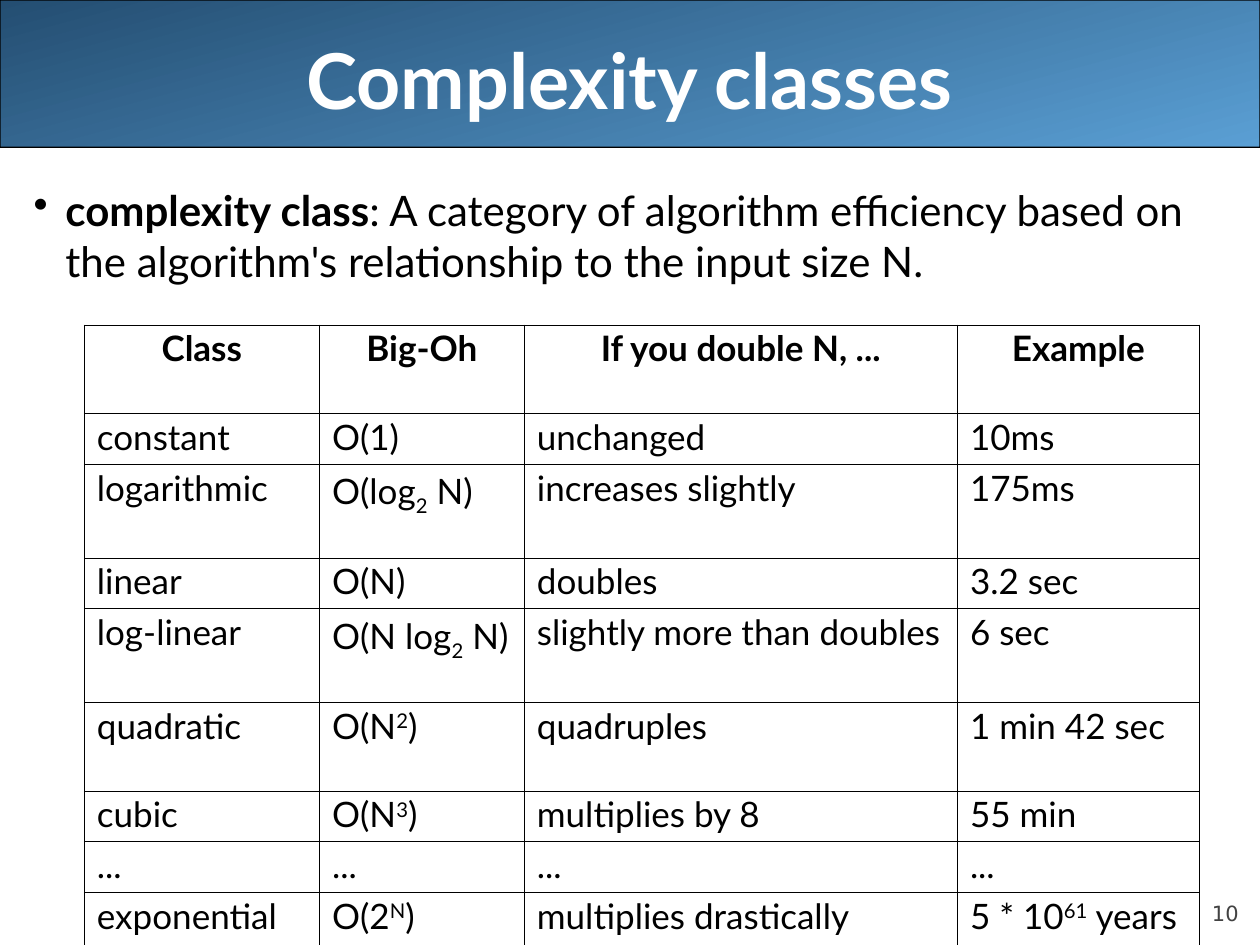
from lxml import etree
from pptx import Presentation
from pptx.dml.color import RGBColor
from pptx.enum.shapes import MSO_SHAPE
from pptx.enum.text import MSO_ANCHOR, PP_ALIGN
from pptx.oxml import parse_xml
from pptx.oxml.ns import nsdecls, qn
from pptx.util import Cm, Pt

ROUNDED = MSO_SHAPE.ROUNDED_RECTANGLE
TOP, MIDDLE, BOTTOM = MSO_ANCHOR.TOP, MSO_ANCHOR.MIDDLE, MSO_ANCHOR.BOTTOM
LEFT, CENTER, RIGHT = PP_ALIGN.LEFT, PP_ALIGN.CENTER, PP_ALIGN.RIGHT

BLACK = RGBColor(0x00, 0x00, 0x00)
WHITE = RGBColor(0xFF, 0xFF, 0xFF)
GREY = RGBColor(0x42, 0x42, 0x42)
LIGHT_BLUE = RGBColor(0x5A, 0x9F, 0xD4)
DARK_BLUE = RGBColor(0x24, 0x4E, 0x72)

TITLE_ONLY = 5
BASELINES = {"_": "-25000", "^": "30000"}  # markers for sub- and superscript

# Parts of a cell are split by "|"; a leading marker lowers or raises a part
HEADER = ("Class", "Big-Oh", "If you double N, ...", "Example")
CLASSES = [
    ("constant", "O(1)", "unchanged", "10ms"),
    ("logarithmic", "O(log|_2| N)", "increases slightly", "175ms"),
    ("linear", "O(N)", "doubles", "3.2 sec"),
    ("log-linear", "O(N log|_2| N)", "slightly more than doubles", "6 sec"),
    ("quadratic", "O(N|^2|)", "quadruples", "1 min 42 sec"),
    ("cubic", "O(N|^3|)", "multiplies by 8", "55 min"),
    ("...", "...", "...", "..."),
    ("exponential", "O(2|^N|)", "multiplies drastically", "5 * 10|^61| years"),
]
COLUMN_WIDTHS = (4.74, 4.13, 8.73, 4.88)
SHORT, TALL, TALLEST = 1.02, 1.79, 1.89
ROW_HEIGHTS = (TALL, SHORT, TALLEST, SHORT, TALLEST, TALL, SHORT, SHORT, TALL)


def apply(target, values):
    for name, value in values.items():
        setattr(target, name, value)


class SlideBuilder:
    font_name = "Lato"

    def __init__(self, presentation):
        layout = presentation.slide_layouts[TITLE_ONLY]
        self.slide = presentation.slides.add_slide(layout)

    def add_text(self, paragraph, text, size, color=BLACK, **extra):
        run = paragraph.add_run()
        run.text = text
        font = {"name": self.font_name, "size": Pt(size), "bold": False}
        apply(run.font, font | extra)
        run.font.color.rgb = color
        return run

    def place(self, shape, left, top, width, height):
        box = {"left": left, "top": top, "width": width, "height": height}
        apply(shape, {name: Cm(value) for name, value in box.items()})

    def band(self, left, top, width, height):
        shape = self.slide.shapes.add_shape(
            ROUNDED, Cm(left), Cm(top), Cm(width), Cm(height))
        shape.adjustments[0] = 0.001
        shape.shadow.inherit = False
        shape.fill.gradient()
        shape.fill.gradient_angle = 105
        for stop, color in zip(shape.fill.gradient_stops, (LIGHT_BLUE, DARK_BLUE)):
            stop.color.rgb = color
        shape.line.color.rgb = BLACK
        shape.line.width = Pt(0.75)
        # Send the band behind the title
        self.slide.shapes._spTree.insert(2, shape._element)

    def title(self, text, *box):
        shape = self.slide.shapes.title
        self.place(shape, *box)
        apply(shape.text_frame, {"vertical_anchor": MIDDLE, "word_wrap": True})
        paragraph = shape.text_frame.paragraphs[0]
        paragraph.alignment = CENTER
        self.add_text(paragraph, text, 44, WHITE, bold=True)

    def text_box(self, left, top, width, height, **frame_format):
        shape = self.slide.shapes.add_textbox(
            Cm(left), Cm(top), Cm(width), Cm(height))
        apply(shape.text_frame, {"word_wrap": True} | frame_format)
        return shape.text_frame.paragraphs[0]

    def definition(self, term, meaning, *box):
        paragraph = self.text_box(*box, vertical_anchor=TOP)
        properties = paragraph._p.get_or_add_pPr()
        properties.set("marL", str(Cm(0.64)))
        properties.set("indent", str(-Cm(0.64)))
        bullet = etree.SubElement(properties, qn("a:buChar"))
        bullet.set("char", "•")
        self.add_text(paragraph, term, 24, bold=True)
        self.add_text(paragraph, meaning, 24)

    def page_number(self, text, *box):
        margins = dict.fromkeys(
            ("margin_left", "margin_top", "margin_right", "margin_bottom"), 0)
        paragraph = self.text_box(*box, vertical_anchor=BOTTOM, **margins)
        paragraph.alignment = RIGHT
        self.add_text(paragraph, text, 12, GREY, name="DejaVu Sans")

    def cell(self, cell, text, is_header):
        properties = cell._tc.get_or_add_tcPr()
        for side in "LRTB":
            properties.append(parse_xml(
                f'<a:ln{side} {nsdecls("a")} w="{Pt(0.45)}"><a:solidFill>'
                f'<a:srgbClr val="{BLACK}"/></a:solidFill></a:ln{side}>'))
        cell.fill.background()
        paragraph = cell.text_frame.paragraphs[0]
        apply(paragraph, {"alignment": CENTER if is_header else LEFT,
                          "line_spacing": 0.9})
        for part in text.split("|"):
            baseline = BASELINES.get(part[0])
            run = self.add_text(paragraph, part[1:] if baseline else part, 20,
                                bold=is_header)
            if baseline:
                run._r.get_or_add_rPr().set("baseline", baseline)

    def table(self, rows, left, top):
        table = self.slide.shapes.add_table(
            len(rows), len(COLUMN_WIDTHS), Cm(left), Cm(top),
            Cm(sum(COLUMN_WIDTHS)), Cm(sum(ROW_HEIGHTS))).table
        apply(table, {"first_row": False, "horz_banding": False})
        for column, width in zip(table.columns, COLUMN_WIDTHS):
            column.width = Cm(width)
        for index, (row, height) in enumerate(zip(table.rows, ROW_HEIGHTS)):
            row.height = Cm(height)
            for cell, text in zip(row.cells, rows[index]):
                self.cell(cell, text, index == 0)


def main():
    presentation = Presentation()
    presentation.slide_width = Cm(25.4)
    presentation.slide_height = Cm(19.05)
    builder = SlideBuilder(presentation)

    # Title band
    builder.band(0, 0, 25.4, 2.97)
    builder.title("Complexity classes", 1.27, 0, 22.86, 3.18)

    # Definition
    builder.definition(
        "complexity class",
        ": A category of algorithm efficiency based on the algorithm's "
        "relationship to the input size N.",
        0.43, 3.6, 24.97, 2.6)

    # Table of classes
    builder.table([HEADER, *CLASSES], 1.7, 6.55)

    # Page number
    builder.page_number("10", 22.86, 17.65, 2.11, 1.02)

    presentation.save("out.pptx")


if __name__ == "__main__":
    main()
